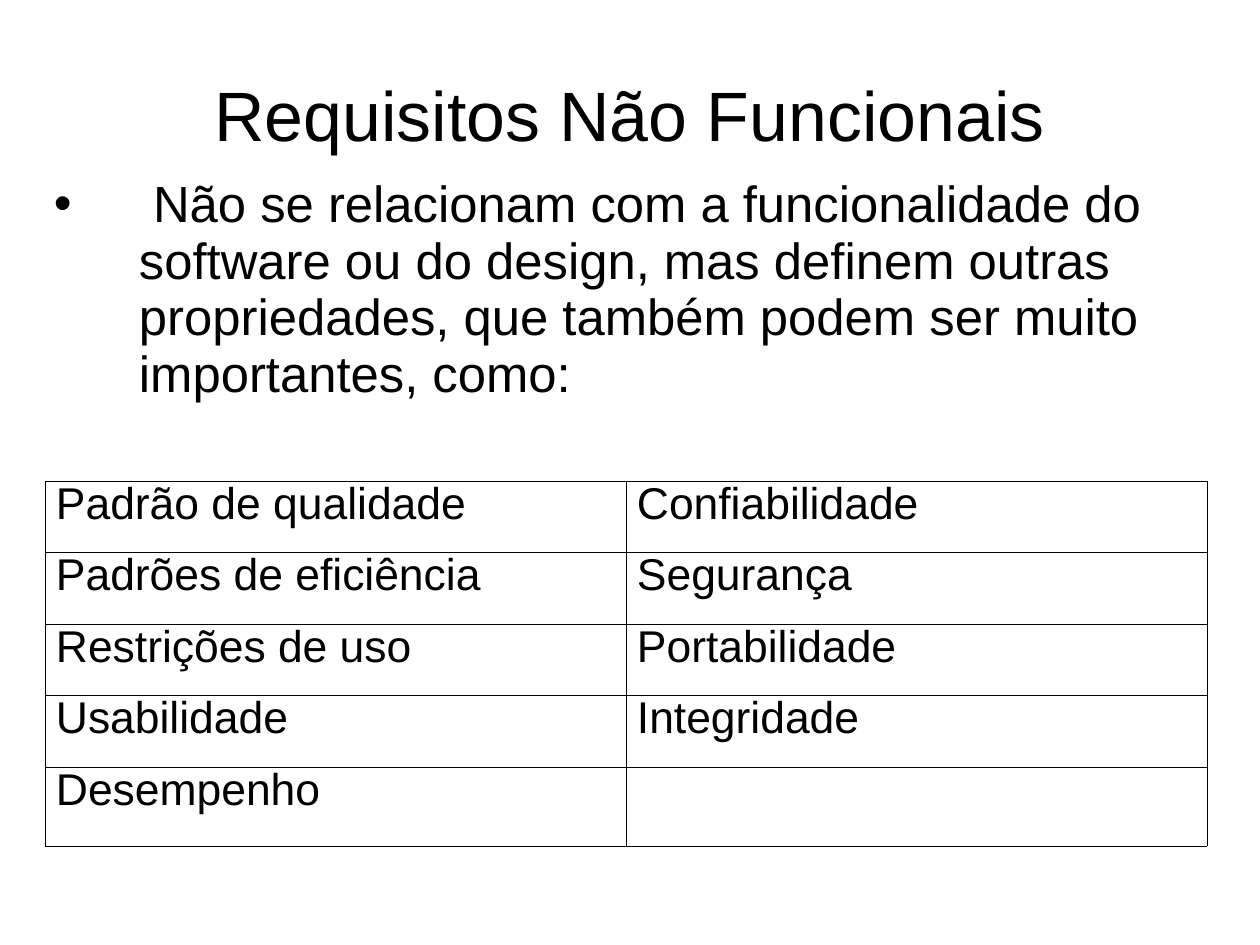
from lxml.etree import SubElement
from pptx import Presentation
from pptx.dml.color import RGBColor
from pptx.enum.text import MSO_ANCHOR as Anchor, PP_ALIGN as Align
from pptx.oxml.ns import qn
from pptx.util import Emu, Pt

PX = 8000
COLORS = {"ink": "000000", "paper": "FFFFFF"}
FONT = "Arial"
OUTER, INNER = 0.23, 0.11
TITLE = "Requisitos Não Funcionais"
INTRO = (" Não se relacionam com a funcionalidade do software ou do design, "
         "mas definem outras propriedades, que também podem ser muito "
         "importantes, como:")
REQUIREMENTS = [
    ("Padrão de qualidade", "Confiabilidade"),
    ("Padrões de eficiência", "Segurança"),
    ("Restrições de uso", "Portabilidade"),
    ("Usabilidade", "Integridade"),
    ("Desempenho", ""),
]
ROW_HEIGHTS = [71, 72, 71, 72, 79]


def px(*lengths):
    """Turn pixel lengths into EMU."""
    return [Emu(length * PX) for length in lengths]


def set_margins(target, left, top, right, bottom):
    """Set the inner margins of a text frame or table cell."""
    (target.margin_left, target.margin_top,
     target.margin_right, target.margin_bottom) = px(left, top, right, bottom)


def style_paragraph(paragraph, size, spacing, align=Align.LEFT):
    """Set the font, line spacing and alignment of a paragraph."""
    paragraph.alignment = align
    paragraph.line_spacing = spacing
    paragraph.font.name = FONT
    paragraph.font.size = Pt(size)
    paragraph.font.color.rgb = RGBColor.from_string(COLORS["ink"])


def add_text(slide, text, box, anchor, top_margin=0):
    """Add a wrapped text box and return its paragraph."""
    frame = slide.shapes.add_textbox(*px(*box)).text_frame
    frame.word_wrap = True
    frame.vertical_anchor = anchor
    set_margins(frame, 0, top_margin, 0, 0)
    paragraph = frame.paragraphs[0]
    paragraph.text = text
    return paragraph


def add_bullet(paragraph, indent):
    """Give a paragraph a round bullet with a hanging indent."""
    properties = paragraph._p.get_or_add_pPr()
    properties.set("marL", str(indent * PX))
    properties.set("indent", str(-indent * PX))
    color = SubElement(properties, qn("a:buClr"))
    SubElement(color, qn("a:srgbClr"), val=COLORS["ink"])
    SubElement(properties, qn("a:buFont"), typeface=FONT)
    SubElement(properties, qn("a:buChar"), char="•")


def set_border(cell, side, width):
    """Draw one side of a table cell."""
    line = SubElement(cell._tc.get_or_add_tcPr(), qn(f"a:ln{side}"),
                      w=str(Pt(width)))
    fill = SubElement(line, qn("a:solidFill"))
    SubElement(fill, qn("a:srgbClr"), val=COLORS["ink"])


def add_requirements_table(slide, left, top, column_width):
    """Add the bordered table of requirements."""
    rows, columns = len(REQUIREMENTS), len(REQUIREMENTS[0])
    table = slide.shapes.add_table(
        rows, columns,
        *px(left, top, columns * column_width, sum(ROW_HEIGHTS))).table
    table.first_row = table.horz_banding = False
    for column in table.columns:
        column.width = Emu(column_width * PX)
    for i, (names, height) in enumerate(zip(REQUIREMENTS, ROW_HEIGHTS)):
        table.rows[i].height = Emu(height * PX)
        for j, name in enumerate(names):
            cell = table.cell(i, j)
            cell.text = name
            cell.vertical_anchor = Anchor.TOP
            set_margins(cell, 11, 6, 11, 6)
            edges = {"L": j == 0, "R": j == columns - 1,
                     "T": i == 0, "B": i == rows - 1}
            for side, is_outer in edges.items():
                set_border(cell, side, OUTER if is_outer else INNER)
            cell.fill.background()
            style_paragraph(cell.text_frame.paragraphs[0], 28, 0.81)


def main():
    """Build and save the slide."""
    presentation = Presentation()
    presentation.slide_width, presentation.slide_height = px(1260, 945)
    slide = presentation.slides.add_slide(presentation.slide_layouts[6])
    background = slide.background.fill
    background.solid()
    background.fore_color.rgb = RGBColor.from_string(COLORS["paper"])

    title = add_text(slide, TITLE, (63, 43, 1134, 146), Anchor.MIDDLE, 5)
    style_paragraph(title, 44, 0.93, Align.CENTER)
    intro = add_text(slide, INTRO, (54, 177, 1180, 286), Anchor.TOP)
    add_bullet(intro, 85)
    style_paragraph(intro, 32, 0.93)
    add_requirements_table(slide, 45, 481, 581)

    presentation.save("out.pptx")


if __name__ == "__main__":
    main()
